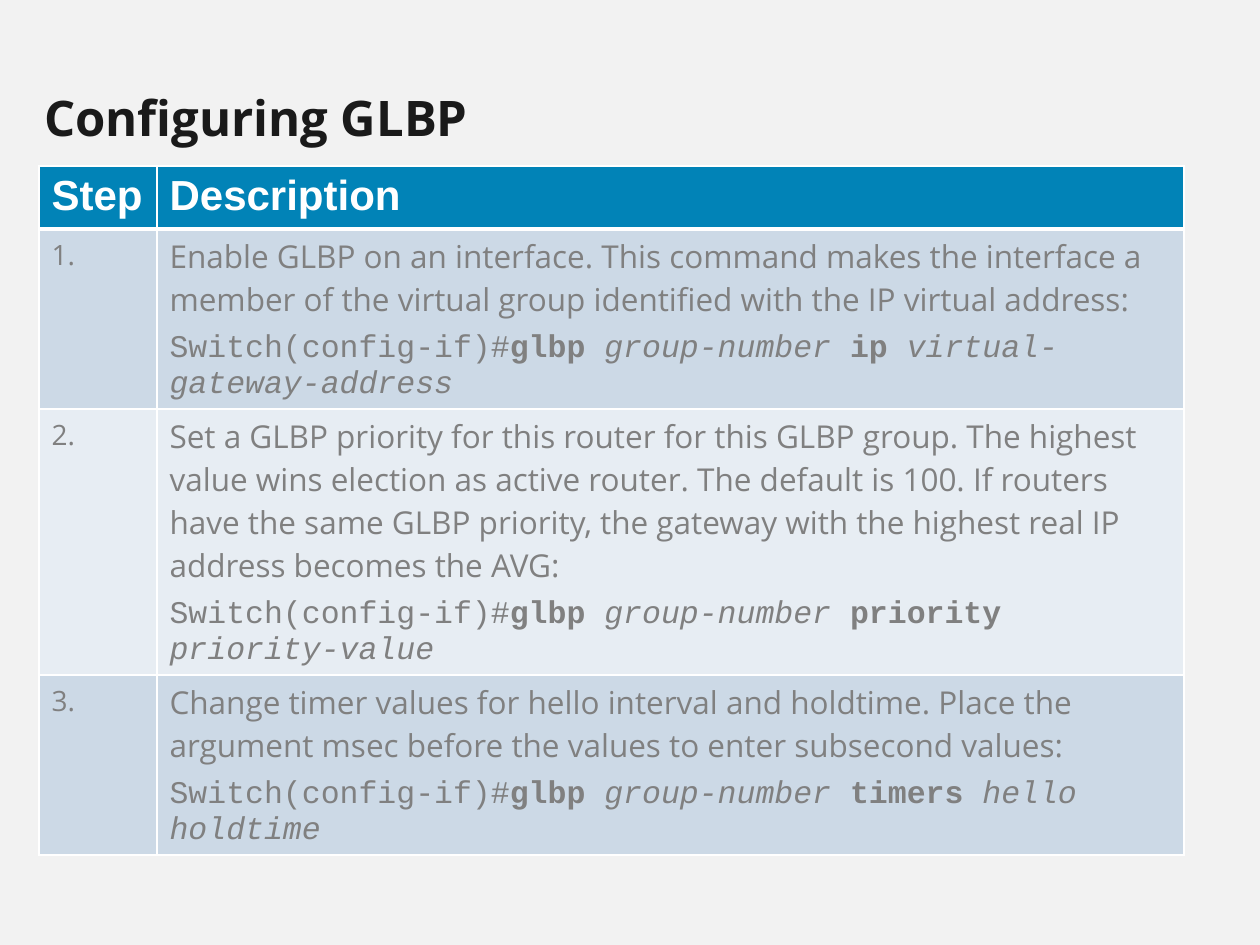
"""Build the GLBP configuration slide."""
from dataclasses import dataclass

import lxml.etree
import pptx
import pptx.dml.color
import pptx.enum.text
import pptx.oxml.ns
import pptx.util

PIXELS_PER_INCH = 126
WHITE, GREY, INK = "FFFFFF", "808080", "1A1A1A"
HEADER_FILL, ROW_FILLS = "0183B7", ("CCD9E6", "E7EDF3")
COLUMN_WIDTHS = (118, 1027)
ROW_HEIGHTS = (60, 180, 266, 180)


@dataclass(frozen=True)
class Step:
    description: str
    keyword: str
    argument: str


STEPS = (
    Step("Enable GLBP on an interface. This command makes the interface a member of "
         "the virtual group identified with the IP virtual address:",
         "ip ", "virtual-gateway-address"),
    Step("Set a GLBP priority for this router for this GLBP group. The highest value "
         "wins election as active router. The default is 100. If routers have the same "
         "GLBP priority, the gateway with the highest real IP address becomes the AVG:",
         "priority ", "priority-value"),
    Step("Change timer values for hello interval and holdtime. Place the argument msec "
         "before the values to enter subsecond values:",
         "timers ", "hello holdtime"),
)


def px(length: int) -> pptx.util.Emu:
    """Turn pixels into EMU."""
    return pptx.util.Emu(round(length * 914400 / PIXELS_PER_INCH))


def color(value: str) -> pptx.dml.color.RGBColor:
    """Turn a hex string into a colour."""
    return pptx.dml.color.RGBColor.from_string(value)


def write(paragraph, text: str, *, size: int = 18, font: str = "Open Sans",
          fill: str = GREY, bold: bool = False, italic: bool = False) -> None:
    """Add one formatted run to a paragraph."""
    run = paragraph.add_run()
    run.text = text
    run.font.size = pptx.util.Pt(size)
    run.font.name = font
    run.font.color.rgb = color(fill)
    run.font.bold = bold
    run.font.italic = italic


def style_cell(cell, fill: str, top: int = 1, bottom: int = 1) -> None:
    """Give a cell its white borders and its fill."""
    properties = cell._tc.get_or_add_tcPr()
    for side, width in (("L", 1), ("R", 1), ("T", top), ("B", bottom)):
        line = lxml.etree.SubElement(properties, pptx.oxml.ns.qn(f"a:ln{side}"),
                                     w=str(pptx.util.Pt(width)))
        solid = lxml.etree.SubElement(line, pptx.oxml.ns.qn("a:solidFill"))
        lxml.etree.SubElement(solid, pptx.oxml.ns.qn("a:srgbClr"), val=WHITE)
    cell.fill.solid()
    cell.fill.fore_color.rgb = color(fill)


def add_title(slide, text: str) -> None:
    """Add the slide title."""
    frame = slide.shapes.add_textbox(px(39), px(50), px(1213), px(102)).text_frame
    frame.word_wrap = True
    frame.vertical_anchor = pptx.enum.text.MSO_ANCHOR.BOTTOM
    frame.margin_left = frame.margin_top = frame.margin_bottom = px(5)
    frame.margin_right = px(11)
    frame.paragraphs[0].line_spacing = 0.9
    write(frame.paragraphs[0], text, size=28, fill=INK, bold=True)


def write_step(cell, step: Step) -> None:
    """Write a step's description and its command."""
    frame = cell.text_frame
    write(frame.paragraphs[0], step.description)
    frame.paragraphs[0].space_after = pptx.util.Pt(6)
    command = frame.add_paragraph()
    write(command, "Switch(config-if)#", font="Courier New")
    for keyword, argument in (("glbp ", "group-number "), (step.keyword, step.argument)):
        write(command, keyword, font="Courier New", bold=True)
        write(command, argument, font="Courier New", italic=True)


def add_steps(slide, steps: tuple[Step, ...]) -> None:
    """Add the table of configuration steps."""
    table = slide.shapes.add_table(len(steps) + 1, len(COLUMN_WIDTHS), px(39), px(166),
                                   px(sum(COLUMN_WIDTHS)), px(sum(ROW_HEIGHTS))).table
    for column, width in zip(table.columns, COLUMN_WIDTHS):
        column.width = px(width)
    for row, height in zip(table.rows, ROW_HEIGHTS):
        row.height = px(height)
    for cell, heading in zip(table.rows[0].cells, ("Step", "Description")):
        style_cell(cell, HEADER_FILL, bottom=3)
        write(cell.text_frame.paragraphs[0], heading, size=24, font="Arial",
              fill=WHITE, bold=True)
    for number, step in enumerate(steps, start=1):
        for cell in table.rows[number].cells:
            style_cell(cell, ROW_FILLS[(number - 1) % 2], top=3 if number == 1 else 1)
        write(table.cell(number, 0).text_frame.paragraphs[0], f"{number}.", size=16)
        write_step(table.cell(number, 1), step)


def main() -> None:
    """Build and save the presentation."""
    presentation = pptx.Presentation()
    presentation.slide_width, presentation.slide_height = px(1260), px(945)
    slide = presentation.slides.add_slide(presentation.slide_layouts[6])
    slide.background.fill.solid()
    slide.background.fill.fore_color.rgb = color("F2F2F2")
    add_title(slide, "Configuring GLBP")
    add_steps(slide, STEPS)
    presentation.save("out.pptx")


if __name__ == "__main__":
    main()
